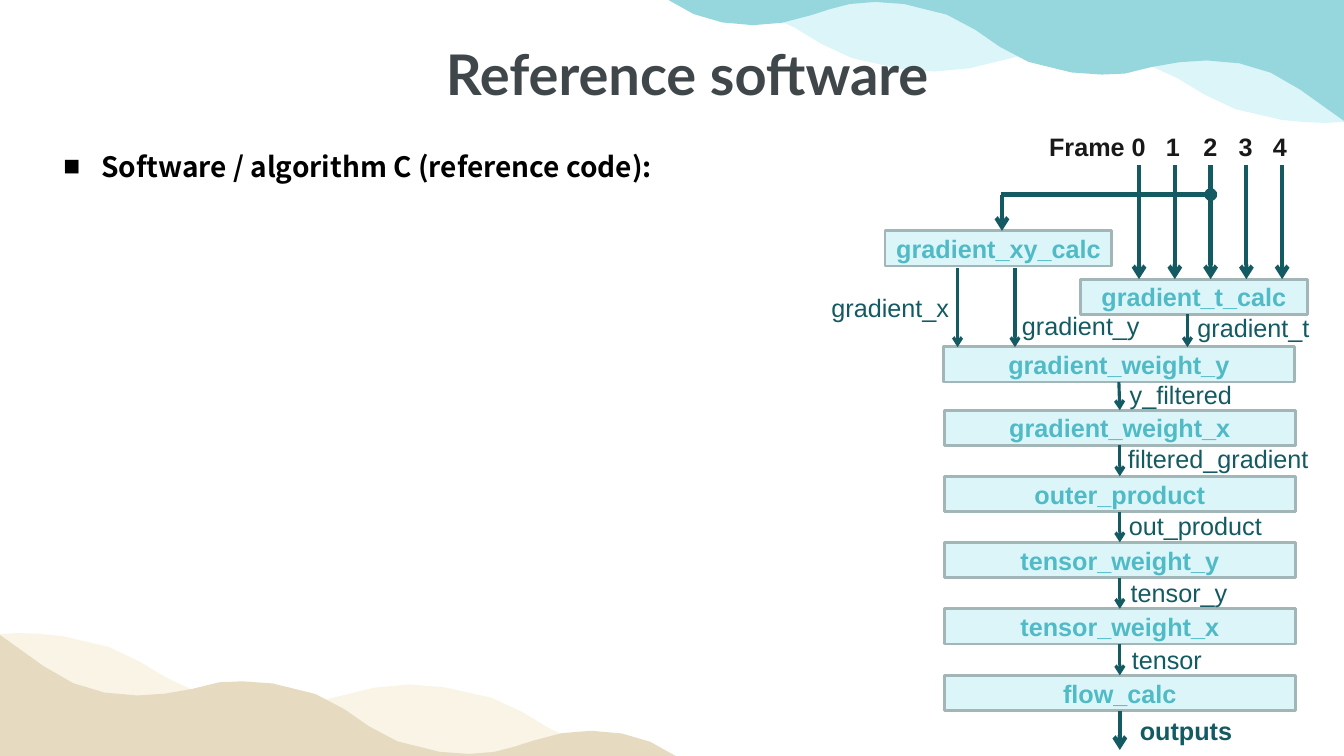
"""Build the "Reference software" slide with its optical-flow pipeline diagram."""
import math

import lxml.etree
import pptx
import pptx.dml.color
import pptx.enum.shapes
import pptx.enum.text
import pptx.oxml.ns
import pptx.util

Pt = pptx.util.Pt
qn = pptx.oxml.ns.qn
colour = pptx.dml.color.RGBColor.from_string
SHAPE = pptx.enum.shapes.MSO_SHAPE
ALIGN = pptx.enum.text.PP_ALIGN
ANCHOR = pptx.enum.text.MSO_ANCHOR
FIT = pptx.enum.text.MSO_AUTO_SIZE
WIDTH, HEIGHT = 960, 540
TEAL, CYAN, PALE, INK = "135A62", "50BBC6", "DBF5F8", "191919"


def write(shape, text, size, font, hex_colour, bold=False, align=ALIGN.LEFT):
    """Fill a shape with one formatted paragraph."""
    shape.text_frame.text = text
    para = shape.text_frame.paragraphs[0]
    para.alignment = align
    span = para.runs[0]
    span.font.size, span.font.name, span.font.bold = Pt(size), font, bold
    span.font.color.rgb = colour(hex_colour)
    return para


def draw_line(x1, y1, x2, y2, weight, arrow=True):
    """Draw a straight teal line, with an arrowhead at its end if wanted."""
    line = page.shapes.add_connector(
        pptx.enum.shapes.MSO_CONNECTOR.STRAIGHT, Pt(x1), Pt(y1), Pt(x2), Pt(y2))
    line.line.color.rgb = colour(TEAL)
    line.line.width = Pt(weight)
    if arrow:
        lxml.etree.SubElement(line.line._get_or_add_ln(), qn("a:tailEnd"), type="arrow")
    lxml.etree.SubElement(line.element.spPr, qn("a:effectLst"))
    return line


deck = pptx.Presentation()
deck.slide_width, deck.slide_height = Pt(WIDTH), Pt(HEIGHT)
page = deck.slides.add_slide(deck.slide_layouts[5])

light_wave = [
    (538.6, -86.4), (599, -76.3, 596.2, -49, 661.7, -40.3),
    (671, -38.9, 678.2, -38.2, 686.9, -38.2), (725.8, -38.2, 740.9, -53.3, 779.8, -53.3),
    (787.7, -53.3, 795.6, -52.6, 805, -51.1), (873.4, -42.5, 866.9, -13, 935.3, -3.6),
    (942.5, -2.9, 949.7, -2.2, 956.2, -2.2), (960, -2.9), (960, 87.1),
    (956.2, 87.1, 951.8, 87.8, 946.8, 87.8), (938.2, 87.8, 928.1, 87.1, 915.8, 85.7),
    (847.4, 76.3, 853.9, 46.8, 785.5, 38.2), (776.2, 36.7, 768.2, 36, 761, 36),
    (721.4, 36, 706.3, 51.1, 667.4, 51.1), (660.2, 51.1, 651.6, 50.4, 642.2, 49),
    (573.8, 40.3, 580.3, 10.8, 511.9, 1.4), (504.7, 0.7, 497.5, 0, 491, 0),
    (487.4, 0, 483.8, 0.7, 480.2, 0.7), (480.2, -86.4)]
dark_wave = [
    (960, 0), (960, 86.4), (949.7, 79.2, 939, 71.3, 928.8, 64.1),
    (908.6, 49, 885.6, 43.2, 861.8, 43.2), (842.4, 43.2, 822.2, 47.5, 803.5, 52.6),
    (798.5, 53.3, 792.7, 53.3, 787, 53.3), (780.5, 53.3, 773.3, 53.3, 765.4, 51.8),
    (702, 43.2, 708.5, 11.5, 645.8, 2.9), (637.9, 2.2, 631.4, 1.4, 625, 1.4),
    (618.5, 1.4, 612.7, 2.2, 607, 2.9), (596.9, 5, 588.2, 7.9, 579.6, 10.8),
    (565.9, 15.8, 551.5, 18, 537.8, 18), (515.5, 18, 493.9, 12.2, 477.4, 0)]
for segments, turned, fill in [
        (light_wave, False, PALE), (dark_wave, False, "96D6DD"),
        (light_wave, True, "FAF4E6"), (dark_wave, True, "E6DAC1")]:
    points = [segments[0]]
    for segment in segments[1:]:
        if len(segment) == 2:
            points.append(segment)
            continue
        curve = points[-1] + segment
        steps = math.ceil(math.dist(curve[:2], curve[6:]) / 28)
        for step in range(1, steps + 1):
            t = step / steps
            weights = [(1 - t) ** 3, 3 * t * (1 - t) ** 2, 3 * t * t * (1 - t), t ** 3]
            points.append(tuple(
                sum(w * v for w, v in zip(weights, curve[axis::2])) for axis in (0, 1)))
    if turned:
        points = [(WIDTH - x, HEIGHT - y) for x, y in points]
    corners = [(Pt(x), Pt(y)) for x, y in points]
    outline = page.shapes.build_freeform(*corners[0])
    outline.add_line_segments(corners[1:], close=True)
    wave = outline.convert_to_shape()
    wave.shadow.inherit = False
    wave.fill.solid()
    wave.fill.fore_color.rgb = colour(fill)
    wave.line.fill.background()

title = page.shapes.title
page.shapes.element.append(title.element)
title.left, title.top, title.width, title.height = Pt(75), Pt(28.8), Pt(831.6), Pt(57)
write(title, "Reference software", 40, "Lato", "40474B", True, ALIGN.CENTER)
frame = title.text_frame
frame.vertical_anchor, frame.auto_size = ANCHOR.BOTTOM, FIT.NONE
frame.margin_left = frame.margin_right = frame.margin_top = frame.margin_bottom = Pt(9.4)

bullet_box = page.shapes.add_textbox(Pt(38.2), Pt(79.2), Pt(905), Pt(87.8))
bullet_box.text_frame.word_wrap = True
para = write(bullet_box, "Software / algorithm C (reference code):", 20,
             "Noto Sans CJK JP", "000000", True)
properties = para._p.get_or_add_pPr()
properties.set("marL", str(Pt(27)))
properties.set("indent", str(Pt(-27)))
lxml.etree.SubElement(properties, qn("a:buFont"), typeface="Arial")
lxml.etree.SubElement(properties, qn("a:buChar"), char="■")
para.line_spacing = 2.0

boxes = {}
for name, left, top, width in [
        ("gradient_xy_calc", 632.2, 164.9, 162),
        ("gradient_t_calc", 771.8, 199.4, 162),
        ("gradient_weight_y", 673.9, 247.7, 250.6),
        ("gradient_weight_x", 674.6, 293, 250.6),
        ("outer_product", 674.6, 340.2, 250.6),
        ("tensor_weight_y", 674.6, 387.4, 250.6),
        ("tensor_weight_x", 674.6, 434.9, 250.6),
        ("flow_calc", 674.6, 482.4, 250.6)]:
    box = page.shapes.add_shape(SHAPE.RECTANGLE, Pt(left), Pt(top), Pt(width), Pt(25.2))
    box.shadow.inherit = False
    box.fill.solid()
    box.fill.fore_color.rgb = colour(PALE)
    box.line.color.rgb = colour("A2B5B7")
    box.line.width = Pt(2)
    box.text_frame.vertical_anchor = ANCHOR.MIDDLE
    write(box, name, 18, "Arial", CYAN, True, ALIGN.CENTER)
    boxes[name] = box

chain = list(boxes.values())[2:]
for upper, lower in zip(chain, chain[1:]):
    arrow = draw_line(0, 0, 0, 0, 2.25)
    arrow.begin_connect(upper, 2)
    arrow.end_connect(lower, 0)
draw_line(799.9, 508, 799.9, 535.7, 3).begin_connect(chain[-1], 2)

for x, top in [(684, 191.5), (725, 191.5), (848.2, 224.6)]:
    draw_line(x, top, x, 248, 2.25)
for index in range(5):
    x = 813.6 + 25.56 * index
    draw_line(x, 118.1, x, 199.4, 3)

draw_line(869, 139, 715, 139, 3, arrow=False)
draw_line(715.7, 139, 715.7, 164.9, 3)
dot = page.shapes.add_shape(SHAPE.OVAL, Pt(860.2), Pt(134.4), Pt(9.2), Pt(9.2))
dot.shadow.inherit = False
dot.fill.solid()
dot.fill.fore_color.rgb = colour(TEAL)
dot.line.fill.background()

for text, left, top, width, hex_colour, bold in [
        ("Frame 0", 742.3, 90, 84.2, INK, True),
        ("1", 825.8, 90, 24.5, INK, True),
        ("2", 852.5, 90, 24.5, INK, True),
        ("3", 877.7, 90, 24.5, INK, True),
        ("4", 902.2, 90, 24.5, INK, True),
        ("gradient_x", 586.8, 205.2, 99.4, TEAL, False),
        ("gradient_y", 722.9, 218.2, 99.4, TEAL, False),
        ("gradient_t", 848.2, 219.6, 95, TEAL, False),
        ("y_filtered", 799.9, 267.1, 88.6, TEAL, False),
        ("filtered_gradient", 798.5, 313.2, 144.7, TEAL, False),
        ("out_product", 799.2, 360.7, 110.2, TEAL, False),
        ("tensor_y", 800.6, 409, 84.2, TEAL, False),
        ("tensor", 801.4, 456.5, 64.8, TEAL, False),
        ("outputs", 807.1, 507.6, 81.4, TEAL, True)]:
    label = page.shapes.add_textbox(Pt(left), Pt(top), Pt(width), Pt(29))
    label.text_frame.word_wrap = False
    label.text_frame.auto_size = FIT.SHAPE_TO_FIT_TEXT
    write(label, text, 18, "Arial", hex_colour, bold)

deck.save("out.pptx")
